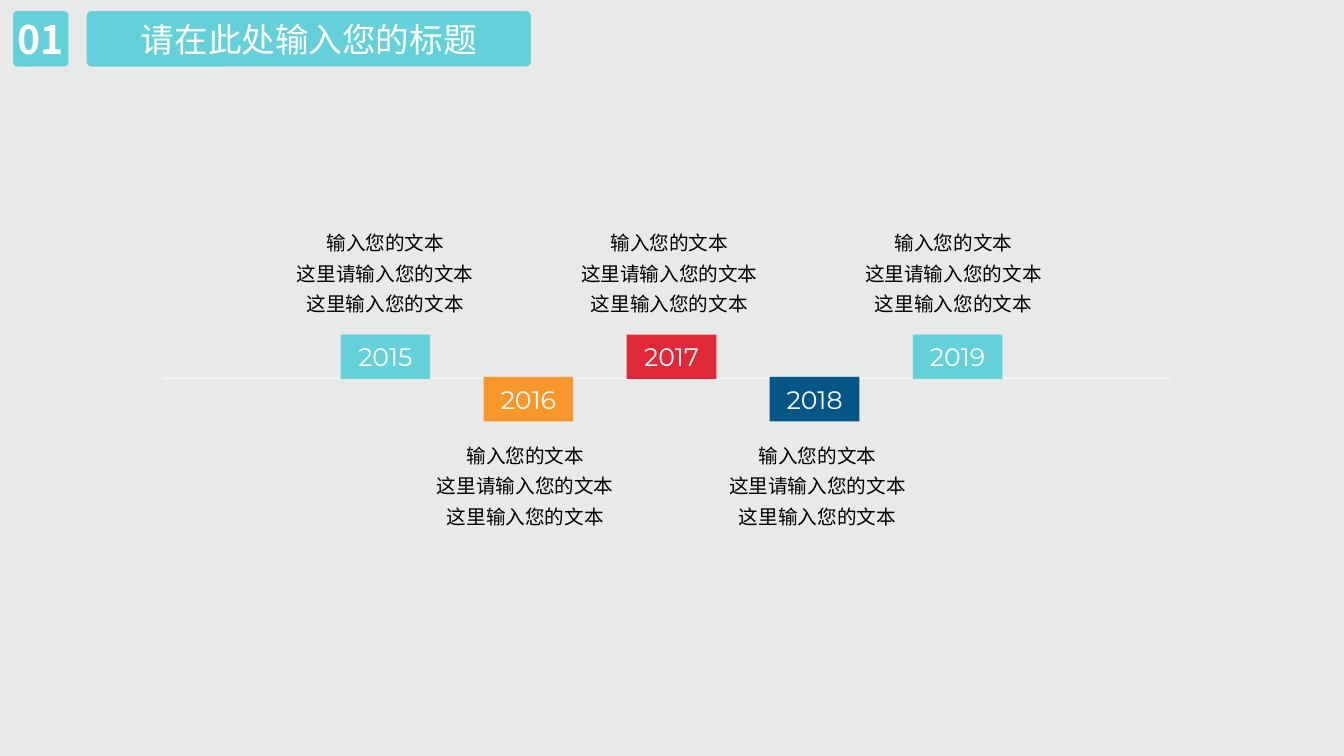
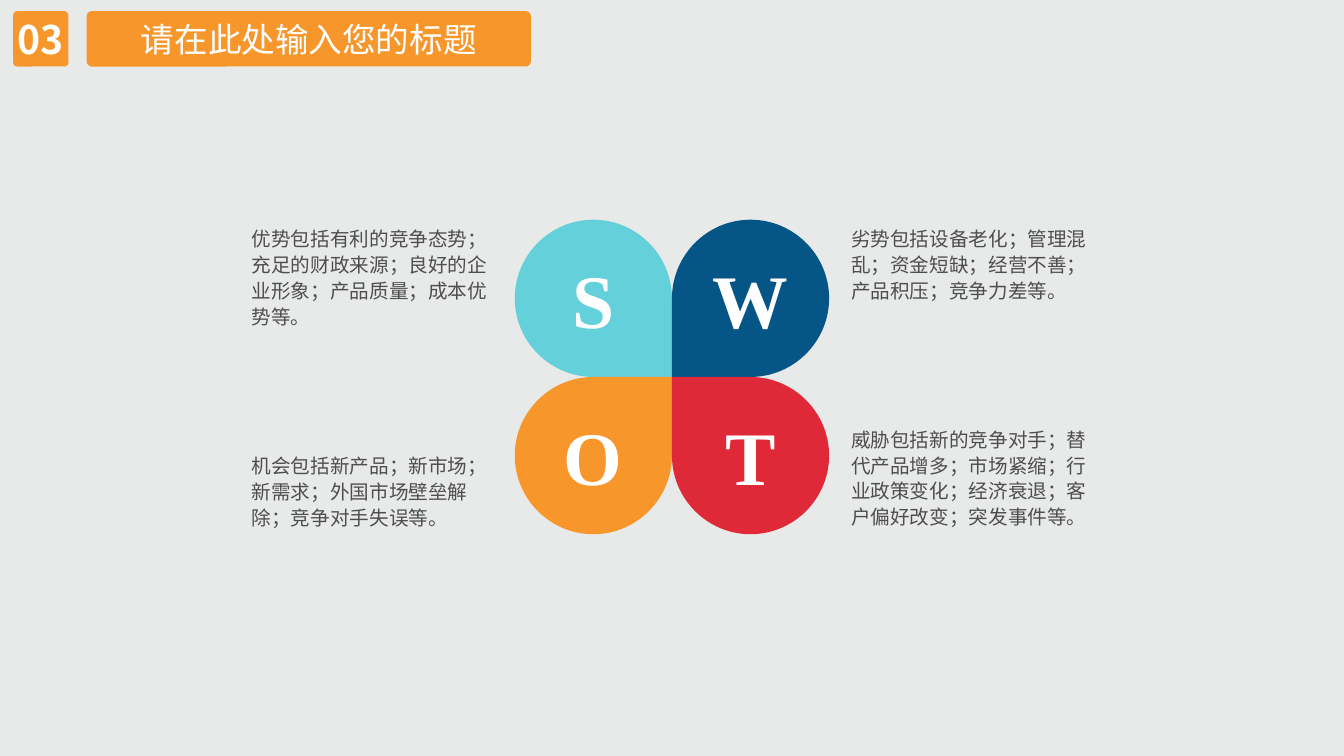
import lxml.etree
import pptx
import pptx.dml.color
import pptx.enum.shapes
import pptx.enum.text
import pptx.oxml.ns
import pptx.util

# Shared look: 100 px make one inch
EMU_PER_PX = 9144
SLIDE_SIZE = (1334, 750)
BACKGROUND = "E8E9E9"
TEAL, ORANGE, RED, NAVY = "64D0DA", "F7962B", "DF2938", "055586"
WHITE, BLACK, GREY, LINE_GREY = "FFFFFF", "000000", "4E4E4E", "F2F2F2"
CJK_FONT, YEAR_FONT, LETTER_FONT = "Noto Sans CJK SC", "Montserrat", "Times New Roman"
TITLE = "请在此处输入您的标题"
BADGE_BOX, TITLE_BOX = (13, 11, 55, 55), (86, 11, 441, 55)
BADGE_ROUNDING, TITLE_ROUNDING = 0.076, 0.091
INSETS, NO_INSETS = (10, 5), (0, 0)
ARC_HANDLE = 0.55  # handle length of a quarter circle, in radii

Align = pptx.enum.text.PP_ALIGN
Anchor = pptx.enum.text.MSO_ANCHOR
AutoSize = pptx.enum.text.MSO_AUTO_SIZE
Preset = pptx.enum.shapes.MSO_SHAPE
qn = pptx.oxml.ns.qn

# Slide 1: year, colour, left edge of its text
MILESTONES = [
    ("2015", TEAL, 289),
    ("2016", ORANGE, 428),
    ("2017", RED, 571),
    ("2018", NAVY, 718),
    ("2019", TEAL, 853),
]
MILESTONE_TEXT = ["输入您的文本", "这里请输入您的文本", "这里输入您的文本"]

# Slide 2: letter, colour, column, row, top and height of its text, text
SWOT = [
    ("S", TEAL, 0, 0, 218, 113, "优势包括有利的竞争态势；充足的财政来源；良好的企业形象；产品质量；成本优势等。"),
    ("W", NAVY, 1, 0, 218, 87, "劣势包括设备老化；管理混乱；资金短缺；经营不善；产品积压；竞争力差等。"),
    ("O", ORANGE, 0, 1, 443, 87, "机会包括新产品；新市场；新需求；外国市场壁垒解除；竞争对手失误等。"),
    ("T", RED, 1, 1, 417, 113, "威胁包括新的竞争对手；替代产品增多；市场紧缩；行业政策变化；经济衰退；客户偏好改变；突发事件等。"),
]


def px(length):
    return pptx.util.Emu(round(length * EMU_PER_PX))


def box(*lengths):
    return [px(length) for length in lengths]


def color(hex_string):
    return pptx.dml.color.RGBColor.from_string(hex_string)


def add_element(parent, tag, **attributes):
    return lxml.etree.SubElement(parent, qn(tag), **attributes)


def paint(shape, fill):
    shape.fill.solid()
    shape.fill.fore_color.rgb = color(fill)
    shape.line.fill.background()
    shape.shadow.inherit = False


def write(shape, lines, size, text_color, font=CJK_FONT, bold=False, align=Align.CENTER,
          anchor=Anchor.MIDDLE, insets=INSETS, spacing=None, auto_size=AutoSize.NONE):
    frame = shape.text_frame
    frame.word_wrap = True
    frame.auto_size = auto_size
    frame.vertical_anchor = anchor
    frame.margin_left = frame.margin_right = px(insets[0])
    frame.margin_top = frame.margin_bottom = px(insets[1])
    for index, line in enumerate(lines):
        paragraph = frame.add_paragraph() if index else frame.paragraphs[0]
        paragraph.alignment = align
        paragraph.line_spacing = spacing
        # Keep punctuation inside the text width
        paragraph._p.get_or_add_pPr().set("hangingPunct", "0")
        run = paragraph.add_run()
        run.text = line
        run.font.size = pptx.util.Pt(size)
        run.font.bold = bold
        run.font.color.rgb = color(text_color)
        run.font.name = font
        add_element(run._r.get_or_add_rPr(), "a:ea", typeface=font)


def add_panel(slide, preset, place, fill, rounding=None):
    shape = slide.shapes.add_shape(preset, *box(*place))
    paint(shape, fill)
    if rounding is not None:
        shape.adjustments[0] = rounding
    return shape


def add_text(slide, place, lines, text_color, **style):
    write(slide.shapes.add_textbox(*box(*place)), lines, 14, text_color, **style)


def add_titled_slide(presentation, number, fill):
    slide = presentation.slides.add_slide(presentation.slide_layouts.get_by_name("Title Only"))

    # Number badge and title band
    badge = add_panel(slide, Preset.ROUNDED_RECTANGLE, BADGE_BOX, fill, BADGE_ROUNDING)
    write(badge, [number], 28, WHITE, bold=True, insets=NO_INSETS)
    band = add_panel(slide, Preset.ROUNDED_RECTANGLE, TITLE_BOX, fill, TITLE_ROUNDING)

    # Title placeholder, moved in front of its band
    title = slide.shapes.title
    title.left, title.top, title.width, title.height = box(*TITLE_BOX)
    write(title, [TITLE], 24, WHITE)
    band.element.addnext(title.element)
    return slide


def add_line(slide, start, end, line_color, width):
    connector = slide.shapes.add_connector(
        pptx.enum.shapes.MSO_CONNECTOR.STRAIGHT, *box(*start, *end))
    connector.line.color.rgb = color(line_color)
    connector.line.width = pptx.util.Pt(width)
    add_element(connector.element.spPr, "a:effectLst")


def bend_into_quarter_circle(segment, start, center):
    """Replace a straight path segment by a quarter circle around the center."""
    point = segment.find(qn("a:pt"))
    end = (int(point.get("x")), int(point.get("y")))
    corner = [a + b - c for a, b, c in zip(start, end, center)]
    curve = lxml.etree.Element(qn("a:cubicBezTo"))
    for anchor in (start, end):
        x, y = [round(a + ARC_HANDLE * (c - a)) for a, c in zip(anchor, corner)]
        add_element(curve, "a:pt", x=str(x), y=str(y))
    curve.append(point)
    segment.getparent().replace(segment, curve)
    return end


def add_petal(slide, letter, fill, center, radius, inward):
    """Draw a circle whose quarter towards the inward direction is a square corner."""
    center_x, center_y = center
    step_x, step_y = inward[0] * radius, inward[1] * radius
    builder = slide.shapes.build_freeform(*box(center_x + step_x, center_y + step_y))
    builder.add_line_segments([
        box(center_x + step_x, center_y),
        box(center_x, center_y - step_y),
        box(center_x - step_x, center_y),
        box(center_x, center_y + step_y),
    ])
    petal = builder.convert_to_shape()

    # The first segment stays straight, the next three become round
    straight, *round_segments = list(petal.element.iter(qn("a:lnTo")))[:4]
    point = straight.find(qn("a:pt"))
    start = (int(point.get("x")), int(point.get("y")))
    for segment in round_segments:
        start = bend_into_quarter_circle(segment, start, box(radius, radius))

    paint(petal, fill)
    write(petal, [letter], 54, WHITE, font=LETTER_FONT, bold=True)


def build_timeline(presentation):
    slide = add_titled_slide(presentation, "01", TEAL)
    add_line(slide, (162, 375), (1162, 375), LINE_GREY, 1.75)
    for index, (year, fill, text_left) in enumerate(MILESTONES):
        below = index % 2 == 1
        year_top, text_top = (374, 433) if below else (332, 222)
        panel = add_panel(slide, Preset.RECTANGLE, (338 + 142 * index, year_top, 89, 44), fill)
        write(panel, [year], 18, WHITE, font=YEAR_FONT)
        add_text(slide, (text_left, text_top, 187, 91), MILESTONE_TEXT, BLACK,
                 anchor=Anchor.TOP if below else Anchor.BOTTOM,
                 insets=NO_INSETS, spacing=1.3)


def build_swot(presentation):
    slide = add_titled_slide(presentation, "03", ORANGE)
    middle_x, middle_y, radius = 667, 374, 78
    text_lefts = (240, 835)
    for letter, fill, column, row, text_top, text_height, text in SWOT:
        inward = (1 - 2 * column, 1 - 2 * row)
        center = (middle_x - inward[0] * radius, middle_y - inward[1] * radius)
        add_petal(slide, letter, fill, center, radius, inward)
        add_text(slide, (text_lefts[column], text_top, 264, text_height), [text], GREY,
                 align=Align.LEFT, anchor=Anchor.TOP, spacing=1.1,
                 auto_size=AutoSize.SHAPE_TO_FIT_TEXT)


def main():
    presentation = pptx.Presentation()
    presentation.slide_width, presentation.slide_height = box(*SLIDE_SIZE)
    background = presentation.slide_master.background.fill
    background.solid()
    background.fore_color.rgb = color(BACKGROUND)
    build_timeline(presentation)
    build_swot(presentation)
    presentation.save("out.pptx")


if __name__ == "__main__":
    main()
